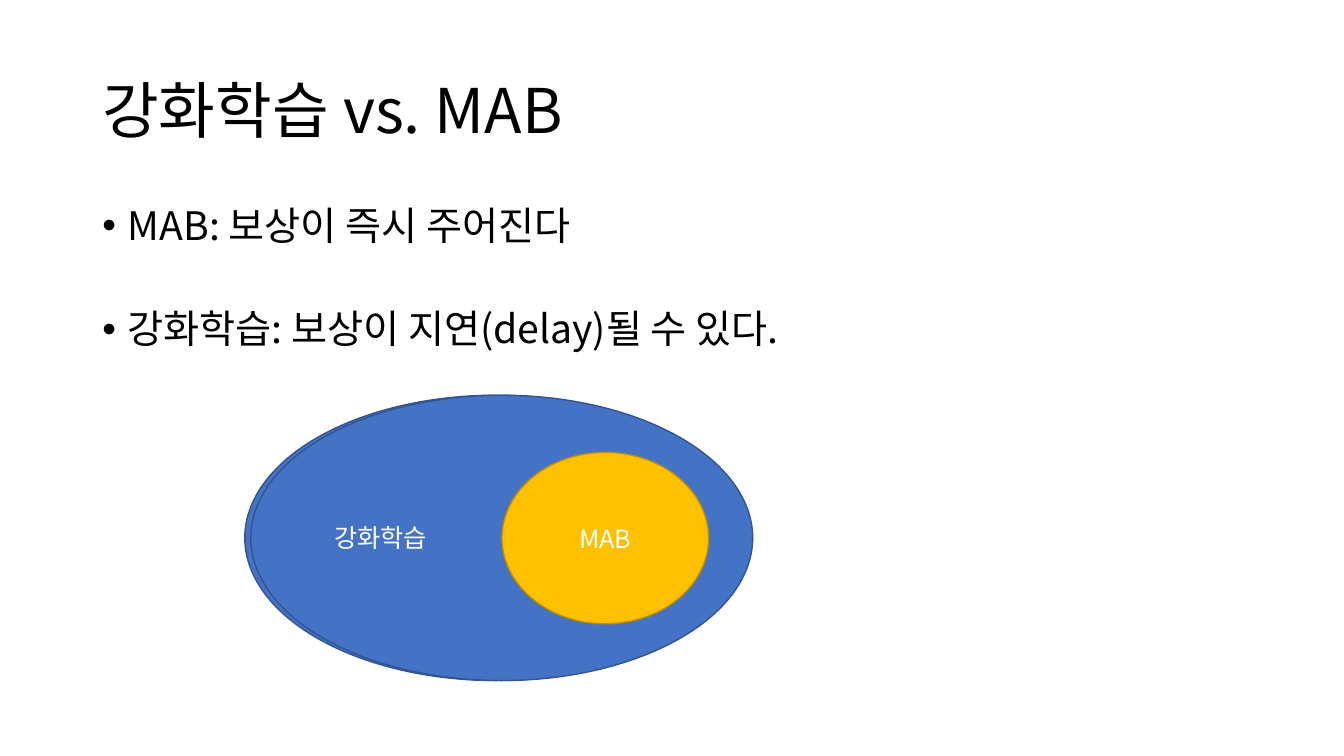
import pptx
import pptx.dml.color
import pptx.enum.shapes
import pptx.enum.text
import pptx.util
from lxml import etree
from pptx.oxml.ns import qn

Cm, Pt = pptx.util.Cm, pptx.util.Pt
ALIGN = pptx.enum.text.PP_ALIGN
ANCHOR = pptx.enum.text.MSO_ANCHOR

FONT = "Noto Sans CJK KR"
BLACK, WHITE = "000000", "FFFFFF"
BLUE, DARK_BLUE = "4472C4", "325491"
GOLD, DARK_GOLD = "FFC000", "BD8E00"

TITLE = "강화학습 vs. MAB"
# wording, space before in points
BULLETS = [
    ("MAB: 보상이 즉시 주어진다", 10),
    ("강화학습: 보상이 지연(delay)될 수 있다.", 43.5),
]
# left, top, width, height in cm, fill, outline, label, alignment
ELLIPSES = [
    (6.17, 9.96, 12.65, 7.19, BLUE, DARK_BLUE, "", ALIGN.LEFT),
    (6.32, 9.96, 12.65, 7.19, BLUE, DARK_BLUE, "강화학습", ALIGN.LEFT),
    (12.65, 11.4, 5.21, 4.32, GOLD, DARK_GOLD, "MAB", ALIGN.CENTER),
]
TEXT_LEFT, TEXT_WIDTH = 2.33, 29.21
INDENT = Cm(0.64)


def color(hex_code):
    """Turn a hex string into a colour."""
    return pptx.dml.color.RGBColor.from_string(hex_code)


def style(para, size, hex_code):
    """Set size, colour and both Latin and East Asian fonts of a paragraph."""
    for span in para.runs:
        span.font.size = Pt(size)
        span.font.name = FONT
        span.font.color.rgb = color(hex_code)
        properties = span.font._element
        east_asian = etree.Element(qn("a:ea"), typeface=FONT)
        properties.find(qn("a:latin")).addnext(east_asian)


def add_text(page, top, height, lines, size, anchor):
    """Add a wrapping text box and return its paragraphs."""
    box = page.shapes.add_textbox(Cm(TEXT_LEFT), Cm(top), Cm(TEXT_WIDTH), Cm(height))
    frame = box.text_frame
    frame.word_wrap = True
    frame.vertical_anchor = anchor
    frame.text = "\n".join(lines)
    for para in frame.paragraphs:
        para.line_spacing = 0.9
        style(para, size, BLACK)
    return frame.paragraphs


def add_bullet(para):
    """Give a paragraph a hanging round bullet."""
    properties = para._p.get_or_add_pPr()
    properties.set("marL", str(INDENT))
    properties.set("indent", str(-INDENT))
    etree.SubElement(properties, qn("a:buFont"), typeface="Arial")
    etree.SubElement(properties, qn("a:buChar"), char="•")


def add_ellipse(page, left, top, width, height, fill, outline, label, alignment):
    """Add a filled ellipse with an optional label."""
    ellipse = page.shapes.add_shape(
        pptx.enum.shapes.MSO_SHAPE.OVAL, Cm(left), Cm(top), Cm(width), Cm(height))
    ellipse.shadow.inherit = False
    ellipse.fill.solid()
    ellipse.fill.fore_color.rgb = color(fill)
    ellipse.line.color.rgb = color(outline)
    ellipse.line.width = Pt(1)
    if label:
        frame = ellipse.text_frame
        frame.text = label
        frame.vertical_anchor = ANCHOR.MIDDLE
        frame.paragraphs[0].alignment = alignment
        style(frame.paragraphs[0], 18, WHITE)


deck = pptx.Presentation()
deck.slide_width, deck.slide_height = Cm(33.87), Cm(19.05)
page = deck.slides.add_slide(deck.slide_layouts[6])

add_text(page, 1.02, 3.68, [TITLE], 44, ANCHOR.MIDDLE)
wordings = [wording for wording, gap in BULLETS]
bullet_paras = add_text(page, 5.08, 12.09, wordings, 28, ANCHOR.TOP)
for para, (wording, gap) in zip(bullet_paras, BULLETS):
    para.space_before = Pt(gap)
    add_bullet(para)
for ellipse_values in ELLIPSES:
    add_ellipse(page, *ellipse_values)

deck.save("out.pptx")
